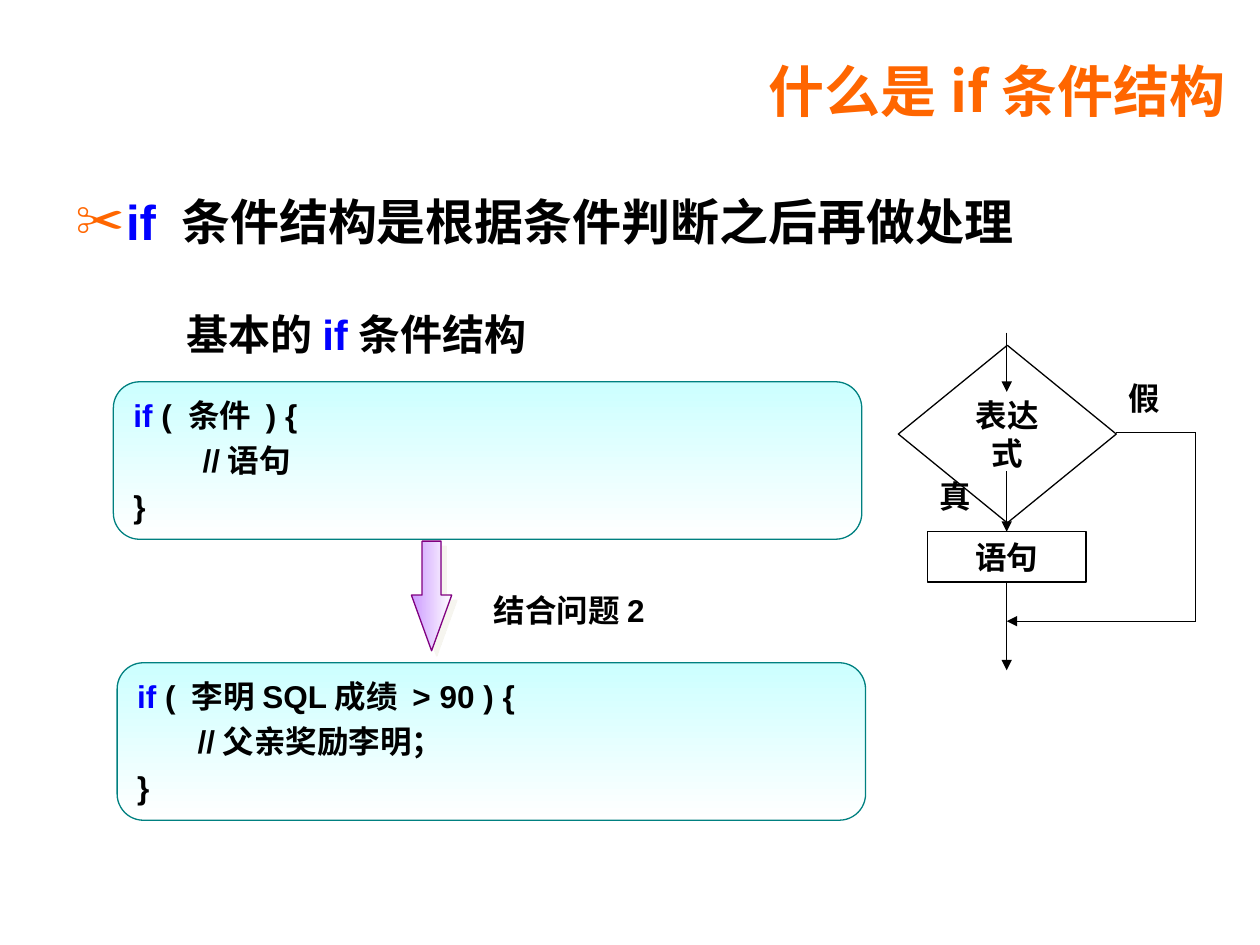
from lxml import etree
from pptx import Presentation
from pptx import util as u
from pptx.dml.color import RGBColor
from pptx.enum import shapes, text
from pptx.oxml import ns

Inches, Pt = u.Inches, u.Pt
COLORS = {"title": "FF6600", "keyword": "0000FF", "ink": "000000",
          "code_top": "CCFFFF", "code_line": "008080", "white": "FFFFFF",
          "arrow": "CC99FF", "arrow_line": "800080", "shadow": "EEECE1"}
LINE_WIDTH = Pt(0.75)


def rgb(name):
    return RGBColor.from_string(COLORS[name])


def sub(parent, tag, **attributes):
    return etree.SubElement(parent, ns.qn(tag), attributes)


def add_spans(para, parts, size, font="Arial"):
    """Fill a paragraph with (wording, colour) pairs in bold."""
    for wording, color in parts:
        span = para.add_run()
        span.text = wording
        span.font.size = Pt(size)
        span.font.name = font
        span.font.bold = True
        span.font.color.rgb = rgb(color)


def place(shape, left, top, width, height):
    shape.left, shape.top = Inches(left), Inches(top)
    shape.width, shape.height = Inches(width), Inches(height)


def add_label(page, box, parts, size=18, before=11.2):
    label = page.shapes.add_textbox(*map(Inches, box))
    label.text_frame.word_wrap = True
    para = label.text_frame.paragraphs[0]
    para.space_before = Pt(before)
    add_spans(para, parts, size)


def add_outline(page, kind, box, line="ink"):
    shape = page.shapes.add_shape(kind, *map(Inches, box))
    shape.shadow.inherit = False
    shape.fill.background()
    shape.line.color.rgb = rgb(line)
    shape.line.width = LINE_WIDTH
    return shape


def fill_gradient(shape, start, angle):
    shape.fill.gradient()
    shape.fill.gradient_angle = angle
    for stop, color, position in zip(shape.fill.gradient_stops, (start, "white"), (0, 1)):
        stop.color.rgb = rgb(color)
        stop.position = position


def add_line(page, start, end, arrow=False):
    line = page.shapes.add_connector(shapes.MSO_CONNECTOR.STRAIGHT,
                                     *map(Inches, start + end))
    line.line.color.rgb = rgb("ink")
    line.line.width = LINE_WIDTH
    if arrow:
        sub(line.line._get_or_add_ln(), "a:tailEnd", type="triangle")
    sub(line._element.spPr, "a:effectLst")
    return line


def fill_title(page, box):
    title = page.shapes.title
    place(title, *box)
    title.text_frame.vertical_anchor = text.MSO_ANCHOR.MIDDLE
    title.text_frame.auto_size = text.MSO_AUTO_SIZE.NONE
    para = title.text_frame.paragraphs[0]
    para.alignment = text.PP_ALIGN.RIGHT
    add_spans(para, [("什么是if条件结构", "title")], 32, "Noto Sans CJK SC")


def fill_body(page, box):
    body = page.placeholders[1]
    place(body, *box)
    body.text_frame.auto_size = text.MSO_AUTO_SIZE.NONE
    para = body.text_frame.paragraphs[0]
    para.alignment = text.PP_ALIGN.JUSTIFY
    para.space_before = Pt(7)
    add_spans(para, [("if ", "keyword"), ("条件结构是根据条件判断之后再做处理", "ink")], 28)
    # Scissors bullet
    props = para._p.get_or_add_pPr()
    props.set("marL", str(Inches(0.4)))
    props.set("indent", str(-Inches(0.4)))
    sub(sub(props, "a:buClr"), "a:srgbClr", val=COLORS["title"])
    sub(props, "a:buChar", char="✂")


def add_code(page, box, condition, statement, indent):
    panel = add_outline(page, shapes.MSO_SHAPE.ROUNDED_RECTANGLE, box, "code_line")
    fill_gradient(panel, "code_top", 270)
    frame = panel.text_frame
    frame.vertical_anchor = text.MSO_ANCHOR.TOP
    lines = [[("if", "keyword"), (condition, "ink")], [(statement, "ink")], [("}", "ink")]]
    for number, parts in enumerate(lines):
        para = frame.add_paragraph() if number else frame.paragraphs[0]
        para.alignment = text.PP_ALIGN.LEFT
        para.space_before = Pt(4.5)
        add_spans(para, parts, 18)
    frame.paragraphs[1]._p.get_or_add_pPr().set("marL", str(Inches(indent)))


def add_step_arrow(page, box):
    arrow = add_outline(page, shapes.MSO_SHAPE.RIGHT_ARROW, box, "arrow_line")
    arrow.rotation = 90
    arrow.adjustments[0], arrow.adjustments[1] = 0.47, 1.38
    fill_gradient(arrow, "arrow", 0)
    props = arrow._element.spPr
    props.find(ns.qn("a:gradFill")).set("rotWithShape", "0")
    # Soft offset shadow
    shadow = sub(props.find(ns.qn("a:effectLst")), "a:outerShdw", dist=str(Pt(4.2)),
                 dir="2700000", algn="ctr", rotWithShape="0")
    sub(sub(shadow, "a:srgbClr", val=COLORS["shadow"]), "a:alpha", val="50000")


def add_flowchart(page, left, top):
    middle, right = left + 0.86, left + 2.36
    branch, merge = top + 0.79, top + 2.29
    # Decision and statement
    nodes = []
    for kind, box, wording in (
            (shapes.MSO_SHAPE.DIAMOND, (left, top + 0.1, 1.73, 1.41), "表达式"),
            (shapes.MSO_SHAPE.RECTANGLE, (left + 0.23, top + 1.58, 1.26, 0.4), "语句")):
        node = add_outline(page, kind, box)
        node.text_frame.vertical_anchor = text.MSO_ANCHOR.MIDDLE
        para = node.text_frame.paragraphs[0]
        para.alignment = text.PP_ALIGN.CENTER
        add_spans(para, [(wording, "ink")], 18)
        nodes.append(node)
    statement = nodes[1]
    # Main path
    add_line(page, (middle, top), (middle, top + 0.47), arrow=True)
    true_path = add_line(page, (middle, top + 1.1), (middle, top + 1.58), arrow=True)
    true_path.end_connect(statement, 0)
    leave = add_line(page, (middle, top + 1.98), (middle, top + 2.68), arrow=True)
    leave.begin_connect(statement, 2)
    # False path
    add_line(page, (left + 1.73, branch), (right, branch))
    add_line(page, (right, branch), (right, merge))
    add_line(page, (right, merge), (middle, merge), arrow=True)
    add_label(page, (left + 1.73, top + 0.32, 0.55, 0.4), [("假", "ink")])
    add_label(page, (left + 0.23, top + 1.1, 0.55, 0.4), [("真", "ink")])


def main():
    deck = Presentation()
    deck.slide_width, deck.slide_height = Inches(10), Inches(7.5)
    page = deck.slides.add_slide(deck.slide_layouts[1])
    fill_title(page, (0.83, 0.36, 9, 0.71))
    fill_body(page, (0.5, 1.47, 9, 0.63))
    add_label(page, (1.38, 2.4, 4.41, 0.5),
              [("基本的", "ink"), ("if", "keyword"), ("条件结构", "ink")], 24, 6)
    add_code(page, (0.9, 3.03, 5.94, 1.25), " ( 条件 ) {", "//语句", 0.55)
    add_code(page, (0.93, 5.26, 5.94, 1.25), " ( 李明SQL成绩 > 90 ) {",
             "//父亲奖励李明；", 0.48)
    add_label(page, (3.82, 4.64, 1.57, 0.4), [("结合问题2", "ink")])
    add_flowchart(page, 7.13, 2.64)
    add_step_arrow(page, (2.99, 4.57, 0.87, 0.32))
    deck.save("out.pptx")


if __name__ == "__main__":
    main()
